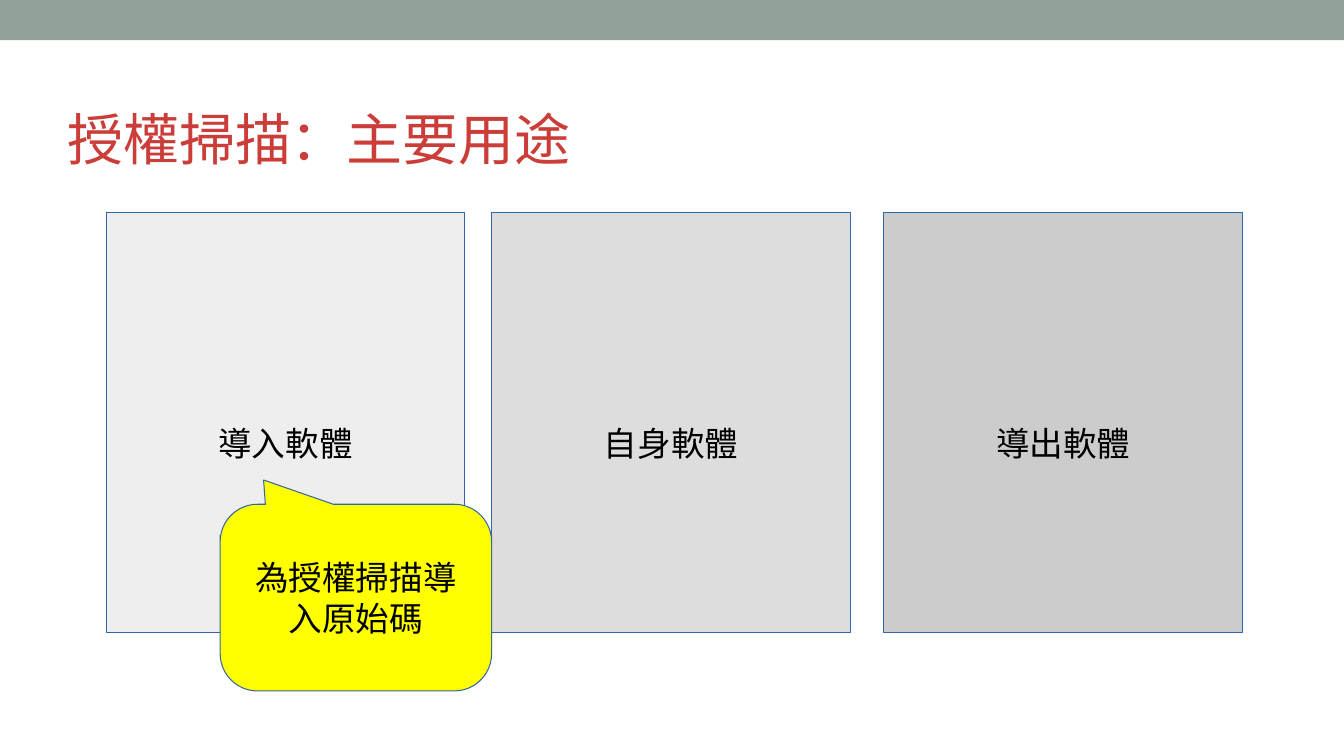
from dataclasses import dataclass

from pptx import Presentation
from pptx import util as u
from pptx.dml.color import RGBColor
from pptx.enum import shapes, text


@dataclass(frozen=True)
class Theme:
    band: str = "93A299"
    title: str = "CB3D39"
    ink: str = "000000"
    outline: str = "3465A4"
    callout: str = "FFFF00"
    panels: tuple = ("EEEEEE", "DDDDDD", "CCCCCC")
    title_font: str = "Open Sans"
    body_font: str = "Arial"
    title_size: int = 40
    body_size: int = 24
    line_width: float = 0.75


class Deck:
    """Draws on a grid of 100 columns by 100 rows."""

    def __init__(self, prs, theme):
        self.theme = theme
        self.col, self.row = prs.slide_width / 100, prs.slide_height / 100
        self.slide = prs.slides.add_slide(prs.slide_layouts[6])

    def place(self, left, top, width, height):
        return (round(left * self.col), round(top * self.row),
                round(width * self.col), round(height * self.row))

    def set_text(self, sp, words, font, color, frame, align):
        tf = sp.text_frame
        for name, value in frame.items():
            setattr(tf, name, value)
        p = tf.paragraphs[0]
        p.alignment = align
        r = p.add_run()
        r.text = words
        for name, value in font.items():
            setattr(r.font, name, value)
        r.font.color.rgb = RGBColor.from_string(color)

    def title(self, box, words):
        t = self.theme
        sp = self.slide.shapes.add_textbox(*self.place(*box))
        frame = dict(word_wrap=True, vertical_anchor=text.MSO_ANCHOR.BOTTOM,
                     margin_left=0, margin_right=0, margin_top=0, margin_bottom=0)
        font = dict(name=t.title_font, size=u.Pt(t.title_size))
        self.set_text(sp, words, font, t.title, frame, text.PP_ALIGN.LEFT)

    def shape(self, kind, box, fill, outlined=True):
        sp = self.slide.shapes.add_shape(kind, *self.place(*box))
        sp.shadow.inherit = False
        sp.fill.solid()
        sp.fill.fore_color.rgb = RGBColor.from_string(fill)
        if outlined:
            sp.line.color.rgb = RGBColor.from_string(self.theme.outline)
            sp.line.width = u.Pt(self.theme.line_width)
        else:
            sp.line.fill.background()
        return sp

    def label(self, sp, words, top_inset=0.05):
        t = self.theme
        frame = dict(word_wrap=True, vertical_anchor=text.MSO_ANCHOR.MIDDLE,
                     margin_top=u.Inches(top_inset))
        font = dict(name=t.body_font, size=u.Pt(t.body_size))
        self.set_text(sp, words, font, t.ink, frame, text.PP_ALIGN.CENTER)

    def panel(self, box, fill, words):
        sp = self.shape(shapes.MSO_SHAPE.RECTANGLE, box, fill)
        self.label(sp, words, top_inset=0.45)

    def callout(self, box, words, tip, corner):
        sp = self.shape(shapes.MSO_SHAPE.ROUNDED_RECTANGULAR_CALLOUT, box,
                        self.theme.callout)
        for i, value in enumerate((*tip, corner)):
            sp.adjustments[i] = value
        self.label(sp, words)


def main():
    prs = Presentation()
    prs.slide_width, prs.slide_height = u.Inches(13.33), u.Inches(7.5)
    theme = Theme()
    s = Deck(prs, theme)

    # Top band and title
    s.shape(shapes.MSO_SHAPE.RECTANGLE, (0, 0, 100, 5.33), theme.band, outlined=False)
    s.title((5, 7.33, 90, 15.33), "授權掃描：主要用途")

    # Three kinds of software
    panels = zip((7.9, 36.58, 65.77), theme.panels,
                 ("導入軟體", "自身軟體", "導出軟體"))
    for left, fill, words in panels:
        s.panel((left, 28.1, 26.7, 55.6), fill, words)

    # Callout pointing at the first panel's label
    s.callout((16.38, 66.7, 20.2, 24.7), "為授權掃描導入原始碼",
              tip=(-0.34, -0.63), corner=0.2)

    prs.save("out.pptx")


if __name__ == "__main__":
    main()
